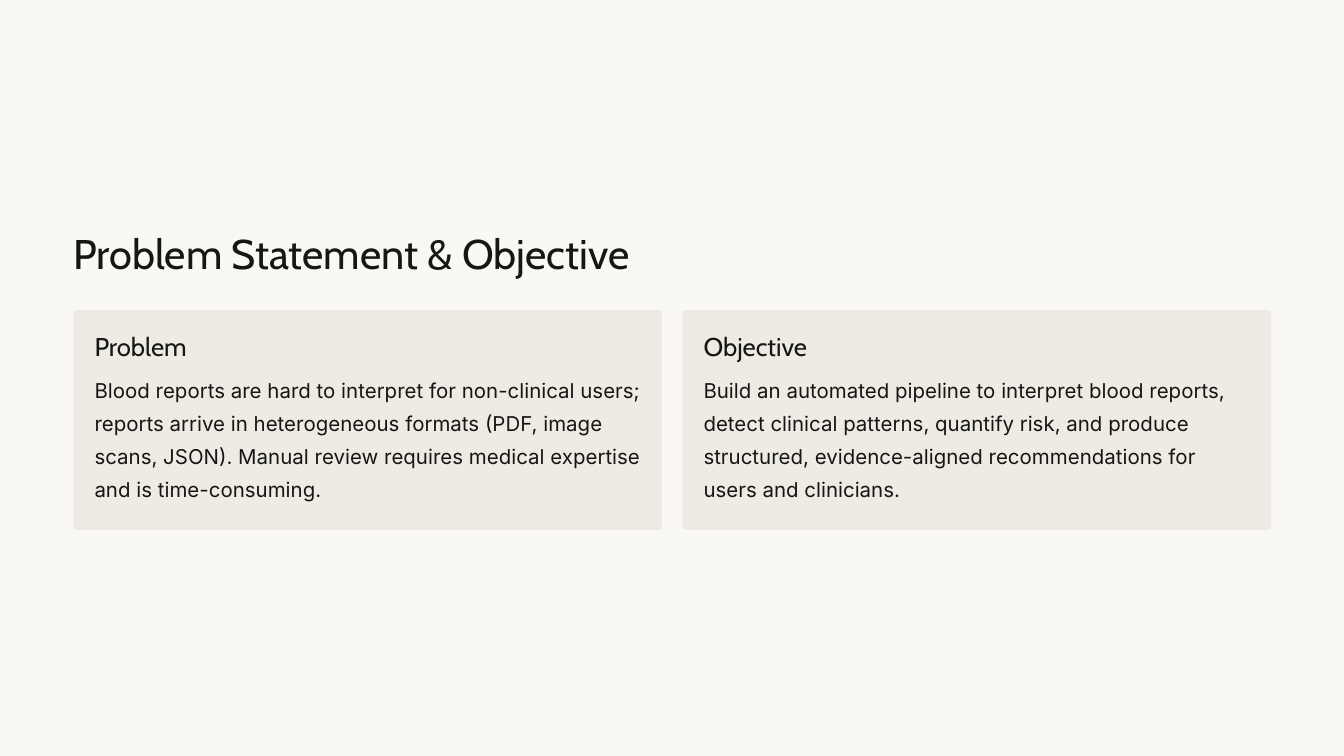
"""Builds the problem statement and objective slide."""
from dataclasses import dataclass

from lxml import etree
from pptx import Presentation
from pptx import util as u
from pptx.dml.color import RGBColor
from pptx.enum import shapes, text
from pptx.oxml.ns import qn

EMU_PER_PX = 9525
PAPER, CARD_FILL, INK = "F9F8F5", "EDEBE3", "161613"
CARD_LEFT, CARD_TOP, CARD_W, CARD_H = 105, 443, 841, 314
CARD_STEP, PADDING, RADIUS = 870, 30, 4


@dataclass(frozen=True)
class Style:
    font: str
    size: float
    leading: float


@dataclass(frozen=True)
class Card:
    heading: str
    body: str


TITLE = Style("Cabin", 44.4, 55.6)
HEADING = Style("Cabin", 27.5, 34.4)
BODY = Style("Inter", 21.9, 35.6)

CARDS = [
    Card("Problem",
         "Blood reports are hard to interpret for non-clinical users; reports arrive in "
         "heterogeneous formats (PDF, image scans, JSON). Manual review requires medical "
         "expertise and is time-consuming."),
    Card("Objective",
         "Build an automated pipeline to interpret blood reports, detect clinical patterns, "
         "quantify risk, and produce structured, evidence-aligned recommendations for users "
         "and clinicians."),
]


def px(n: int) -> int:
    """Turn pixels into EMU."""
    return u.Emu(n * EMU_PER_PX)


def color(value: str) -> RGBColor:
    """Turn a hex string into a colour."""
    return RGBColor.from_string(value)


def fill_placeholder(sp, content: str, style: Style, x: int, y: int, w: int, h: int) -> None:
    """Place a placeholder and set its text as one plain paragraph."""
    sp.left, sp.top, sp.width, sp.height = map(px, (x, y, w, h))
    tf = sp.text_frame
    tf.text = content
    tf.word_wrap = True
    tf.auto_size = text.MSO_AUTO_SIZE.NONE
    tf.vertical_anchor = text.MSO_ANCHOR.TOP
    tf.margin_left = tf.margin_top = tf.margin_right = tf.margin_bottom = 0
    p = tf.paragraphs[0]
    pPr = p._p.get_or_add_pPr()
    pPr.set("marL", "0")
    pPr.set("indent", "0")
    etree.SubElement(pPr, qn("a:buNone"))
    p.alignment = text.PP_ALIGN.LEFT
    p.space_before = u.Pt(0)
    p.line_spacing = u.Pt(style.leading)
    r = p.runs[0]
    r.font.name, r.font.size, r.font.bold = style.font, u.Pt(style.size), False
    r.font.color.rgb = color(INK)


def draw_card(s, card: Card, index: int) -> None:
    """Draw one card with its heading and body."""
    x = CARD_LEFT + index * CARD_STEP
    sp = s.shapes.add_shape(shapes.MSO_SHAPE.ROUNDED_RECTANGLE,
                            px(x), px(CARD_TOP), px(CARD_W), px(CARD_H))
    sp.adjustments[0] = RADIUS / CARD_H
    sp.shadow.inherit = False
    sp.fill.solid()
    sp.fill.fore_color.rgb = color(CARD_FILL)
    sp.line.fill.background()
    s.shapes._spTree.insert(2, sp._element)
    holders = {ph.placeholder_format.idx: ph for ph in s.placeholders}
    left, width = x + PADDING, CARD_W - 2 * PADDING
    fill_placeholder(holders[1 + 2 * index], card.heading, HEADING, left, 471, width, 47)
    fill_placeholder(holders[2 + 2 * index], card.body, BODY, left, 527, width, 200)


def main() -> None:
    """Build and save the slide."""
    prs = Presentation()
    prs.slide_width, prs.slide_height = px(1920), px(1080)
    s = prs.slides.add_slide(prs.slide_layouts.get_by_name("Comparison"))
    s.background.fill.solid()
    s.background.fill.fore_color.rgb = color(PAPER)
    fill_placeholder(s.shapes.title, "Problem Statement & Objective", TITLE,
                     CARD_LEFT, 322, 892, 77)
    for index, card in enumerate(CARDS):
        draw_card(s, card, index)
    prs.save("out.pptx")


if __name__ == "__main__":
    main()
